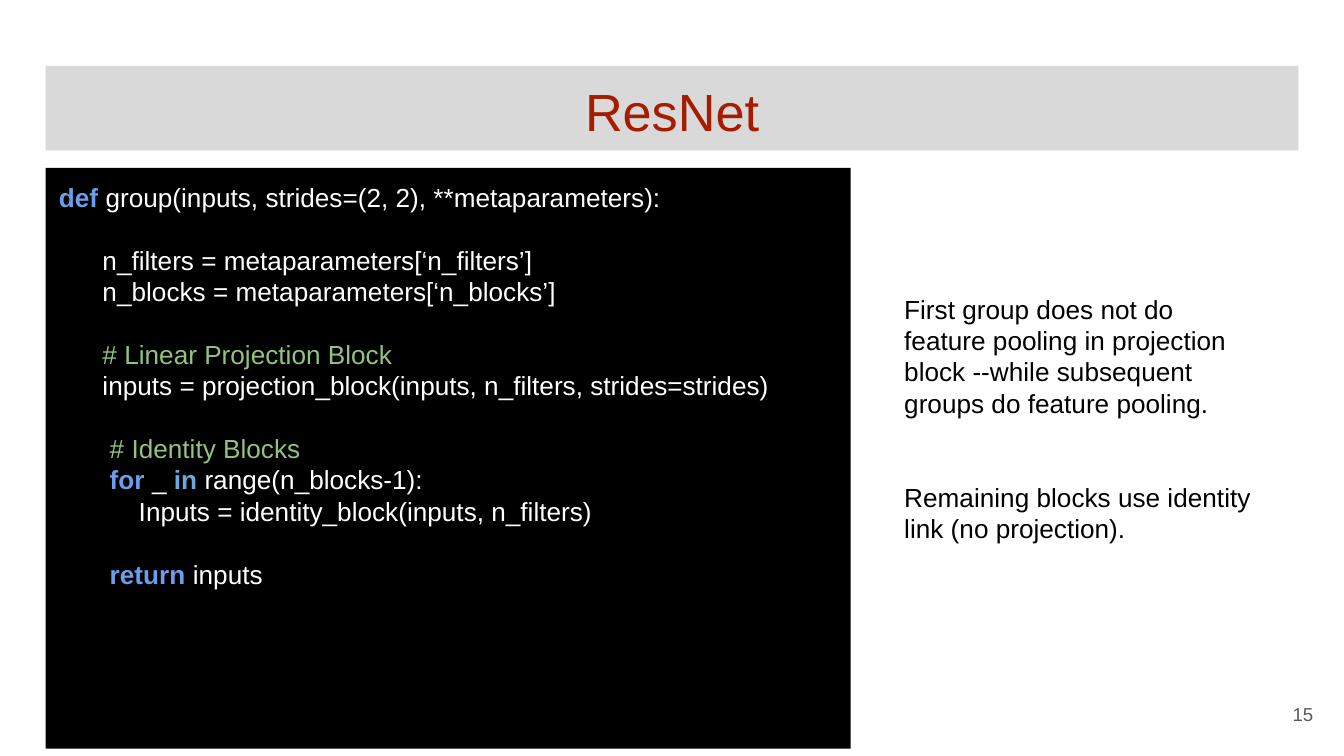
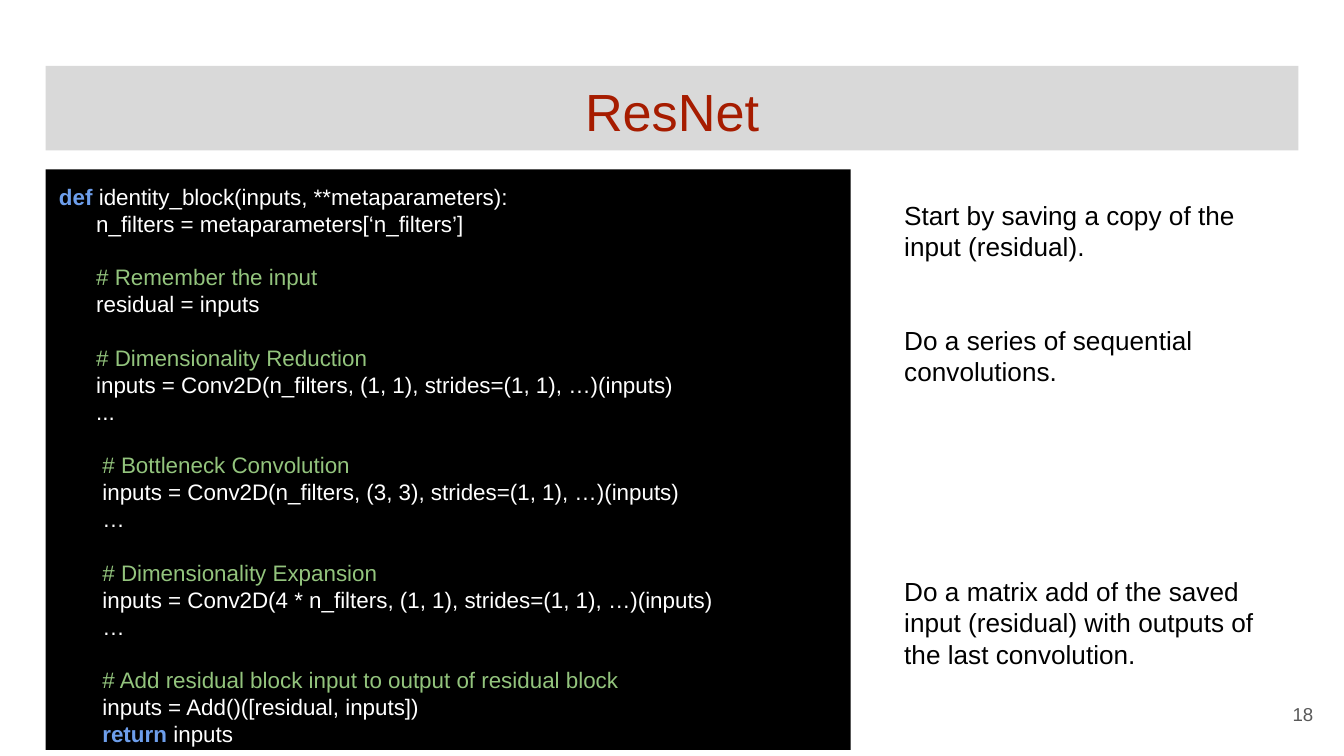
from dataclasses import dataclass

from pptx import Presentation
from pptx.dml.color import RGBColor
from pptx.enum.shapes import MSO_SHAPE
from pptx.enum.text import MSO_ANCHOR, PP_ALIGN
from pptx.util import Inches, Pt

RECTANGLE = MSO_SHAPE.RECTANGLE
TOP, MIDDLE = MSO_ANCHOR.TOP, MSO_ANCHOR.MIDDLE
LEFT, CENTER, RIGHT = PP_ALIGN.LEFT, PP_ALIGN.CENTER, PP_ALIGN.RIGHT


@dataclass(frozen=True)
class Theme:
    font: str = "Arial"
    band: str = "D9D9D9"
    title: str = "A61C00"
    panel: str = "000000"
    note: str = "000000"
    number: str = "595959"
    code: str = "FFFFFF"
    keyword: str = "6D9EEB"
    operator: str = "6FA8DC"
    comment: str = "93C47D"
    title_size: int = 28
    note_size: int = 14
    number_size: int = 10
    leading: float = 1.2
    margin: float = 0.1


THEME = Theme()
PLAIN = {"color": THEME.code}
KEYWORD = {"color": THEME.keyword, "bold": True}
OPERATOR = {"color": THEME.operator, "bold": True}
COMMENT = {"color": THEME.comment}
TITLE = {"color": THEME.title}
NOTE = {"color": THEME.note}
NUMBER = {"color": THEME.number}


def code(text, blanks=0):
    return blanks, [(text, PLAIN)]


def comment(text, blanks=1):
    return blanks, [(text, COMMENT)]


def note(text, blanks=0):
    return blanks, [(text, NOTE)]


GROUP_CODE = [
    (0, [("def ", KEYWORD), ("group(inputs, strides=(2, 2), **metaparameters):", PLAIN)]),
    code("      n_filters = metaparameters[‘n_filters’]", 1),
    code("      n_blocks = metaparameters[‘n_blocks’]"),
    comment("      # Linear Projection Block"),
    code("      inputs = projection_block(inputs, n_filters, strides=strides)"),
    comment("       # Identity Blocks"),
    (0, [("       for ", KEYWORD), ("_ ", PLAIN), ("in ", OPERATOR),
         ("range(n_blocks-1):", PLAIN)]),
    code("           Inputs = identity_block(inputs, n_filters)"),
    (1, [("       return", KEYWORD), (" inputs", PLAIN)]),
]

GROUP_NOTES = [
    note("First group does not do feature pooling in projection block "
         "--while subsequent groups do feature pooling."),
    note("Remaining blocks use identity link (no projection).", 2),
]

IDENTITY_CODE = [
    (0, [("def ", KEYWORD), ("identity_block(inputs, **metaparameters):", PLAIN)]),
    code("      n_filters = metaparameters[‘n_filters’]"),
    comment("      # Remember the input"),
    code("      residual = inputs"),
    comment("      # Dimensionality Reduction"),
    code("      inputs = Conv2D(n_filters, (1, 1), strides=(1, 1), …)(inputs)"),
    code("      ..."),
    comment("       # Bottleneck Convolution"),
    code("       inputs = Conv2D(n_filters, (3, 3), strides=(1, 1), …)(inputs)"),
    code("       …"),
    comment("       # Dimensionality Expansion"),
    code("       inputs = Conv2D(4 * n_filters, (1, 1), strides=(1, 1), …)(inputs)"),
    code("       …"),
    comment("       # Add residual block input to output of residual block"),
    code("       inputs = Add()([residual, inputs])"),
    (0, [("       return", KEYWORD), (" inputs", PLAIN)]),
]

IDENTITY_NOTES = [
    note("Start by saving a copy of the input (residual)."),
    note("Do a series of sequential convolutions.", 2),
    note("Do a matrix add of the saved input (residual) "
         "with outputs of the last convolution.", 6),
]


def set_all(target, values):
    for name, value in values.items():
        setattr(target, name, value)


def write(box, lines, size, align=LEFT, anchor=TOP):
    frame = box.text_frame
    margin = Inches(THEME.margin)
    set_all(frame, {
        "word_wrap": True, "vertical_anchor": anchor,
        "margin_left": margin, "margin_right": margin,
        "margin_top": margin, "margin_bottom": margin,
    })
    line_height = size * THEME.leading
    for index, (blanks, spans) in enumerate(lines):
        para = frame.add_paragraph() if index else frame.paragraphs[0]
        set_all(para, {"alignment": align, "line_spacing": Pt(line_height)})
        if blanks:
            para.space_before = Pt(blanks * line_height)
        for text, style in spans:
            span = para.add_run()
            span.text = text
            set_all(span.font, {"name": THEME.font, "size": Pt(size),
                                "bold": style.get("bold", False)})
            span.font.color.rgb = RGBColor.from_string(style["color"])


def add_panel(page, place, color):
    box = page.shapes.add_shape(RECTANGLE, *map(Inches, place))
    box.shadow.inherit = False
    box.fill.solid()
    box.fill.fore_color.rgb = RGBColor.from_string(color)
    box.line.fill.background()
    return box


def add_text(page, place):
    return page.shapes.add_textbox(*map(Inches, place))


def add_code_page(deck, number, code_lines, code_size, code_top, notes, notes_top):
    page = deck.slides.add_slide(deck.slide_layouts[6])
    title = add_panel(page, (0.34, 0.49, 9.32, 0.63), THEME.band)
    write(title, [(0, [("ResNet", TITLE)])], THEME.title_size, CENTER)
    listing = add_panel(page, (0.34, code_top, 5.99, 4.32), THEME.panel)
    write(listing, code_lines, code_size)
    remarks = add_text(page, (6.63, notes_top, 2.84, 5.33 - notes_top))
    write(remarks, notes, THEME.note_size)
    footer = add_text(page, (9.27, 5.1, 0.6, 0.43))
    write(footer, [(0, [(str(number), NUMBER)])], THEME.number_size, RIGHT, MIDDLE)


def main():
    deck = Presentation()
    set_all(deck, {"slide_width": Inches(10), "slide_height": Inches(10 * 9 / 16)})
    add_code_page(deck, 15, GROUP_CODE, 14, 1.25, GROUP_NOTES, 2.08)
    add_code_page(deck, 18, IDENTITY_CODE, 12, 1.26, IDENTITY_NOTES, 1.38)
    deck.save("out.pptx")


if __name__ == "__main__":
    main()
